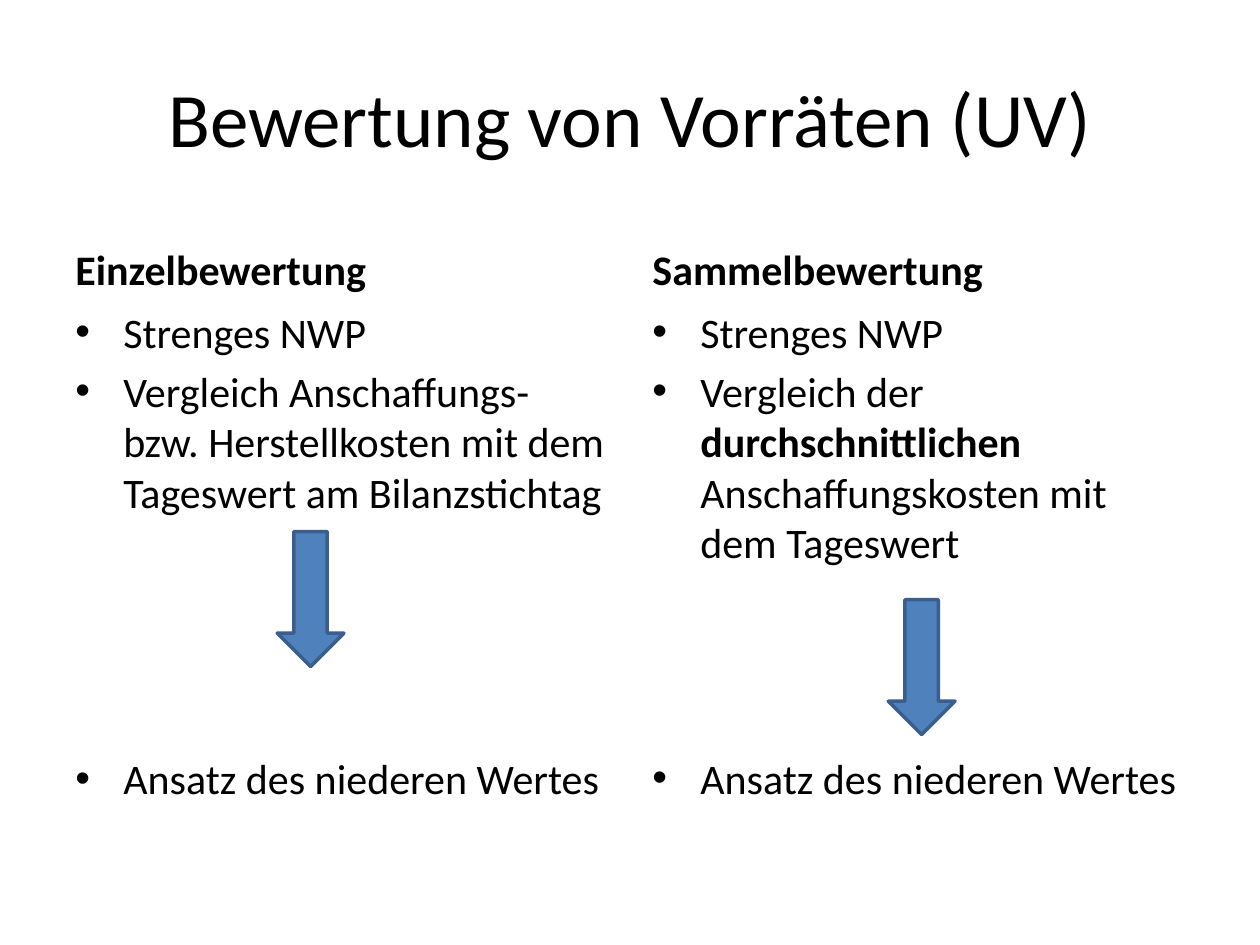
from lxml.etree import SubElement
from pptx import Presentation
from pptx.dml.color import RGBColor
from pptx.enum.shapes import MSO_SHAPE
from pptx.enum.text import MSO_ANCHOR, PP_ALIGN
from pptx.oxml.ns import qn
from pptx.util import Inches, Pt

BLACK = RGBColor(0x00, 0x00, 0x00)
BLUE = RGBColor(0x4F, 0x81, 0xBD)
EDGE = RGBColor(0x3A, 0x5F, 0x8C)
FONT = "Calibri"

# Grid: two columns between equal margins
WIDE, HIGH = 10, 7.5
SIDE = 0.5
COL = 4.42
STEP = WIDE - 2 * SIDE - COL
HEAD, BODY = 1.68, 2.38
HANG = 0.38
LIST_GAP = 5

# Heading, points as (space before, runs), arrow left and top
COLUMNS = [
    ("Einzelbewertung",
     [(0, ["Strenges NWP"]),
      (LIST_GAP, ["Vergleich Anschaffungs- bzw. Herstellkosten mit dem "
                  "Tageswert am Bilanzstichtag"]),
      (135, ["Ansatz des niederen Wertes"])],
     (2.2, 4.22)),
    ("Sammelbewertung",
     [(0, ["Strenges NWP"]),
      (LIST_GAP, ["Vergleich der ", "durchschnittlichen",
                  " Anschaffungskosten mit dem Tageswert"]),
      (106, ["Ansatz des niederen Wertes"])],
     (7.05, 4.76)),
]
STRONG = {"durchschnittlichen"}


def add_box(slide, left, top, width, height, anchor):
    box = slide.shapes.add_textbox(*map(Inches, (left, top, width, height)))
    frame = box.text_frame
    frame.word_wrap = True
    frame.vertical_anchor = anchor
    return frame


def style(run, size, bold=False):
    run.font.name = FONT
    run.font.size = Pt(size)
    run.font.bold = bold
    run.font.color.rgb = BLACK


def add_line(frame, text, size, bold=False, align=PP_ALIGN.LEFT):
    frame.text = text
    para = frame.paragraphs[0]
    para.alignment = align
    style(para.runs[0], size, bold)


def add_bullet(para):
    props = para._p.get_or_add_pPr()
    props.set("marL", str(Inches(HANG)))
    props.set("indent", str(-Inches(HANG)))
    SubElement(props, qn("a:buFont"), typeface="Arial")
    SubElement(props, qn("a:buChar"), char="•")


def add_list(frame, points):
    for row, (gap, parts) in enumerate(points):
        para = frame.add_paragraph() if row else frame.paragraphs[0]
        add_bullet(para)
        para.space_before = Pt(gap)
        for part in parts:
            run = para.add_run()
            run.text = part
            style(run, 24, part in STRONG)


def add_arrow(slide, left, top):
    arrow = slide.shapes.add_shape(
        MSO_SHAPE.DOWN_ARROW, *map(Inches, (left, top, 0.53, 1.07)))
    arrow.shadow.inherit = False
    arrow.fill.solid()
    arrow.fill.fore_color.rgb = BLUE
    arrow.line.color.rgb = EDGE
    arrow.line.width = Pt(2)


def main():
    deck = Presentation()
    deck.slide_width, deck.slide_height = Inches(WIDE), Inches(HIGH)
    slide = deck.slides.add_slide(deck.slide_layouts[6])

    # Title
    title = add_box(slide, SIDE, 0.3, WIDE - 2 * SIDE, 1.25, MSO_ANCHOR.MIDDLE)
    add_line(title, "Bewertung von Vorräten (UV)", 44, align=PP_ALIGN.CENTER)

    # Columns with heading, list and arrow
    for col, (name, points, spot) in enumerate(COLUMNS):
        left = SIDE + col * STEP
        head = add_box(slide, left, HEAD, COL, BODY - HEAD, MSO_ANCHOR.BOTTOM)
        add_line(head, name, 24, bold=True)
        body = add_box(slide, left, BODY, COL, 4.32, MSO_ANCHOR.TOP)
        add_list(body, points)
        add_arrow(slide, *spot)

    deck.save("out.pptx")


if __name__ == "__main__":
    main()
